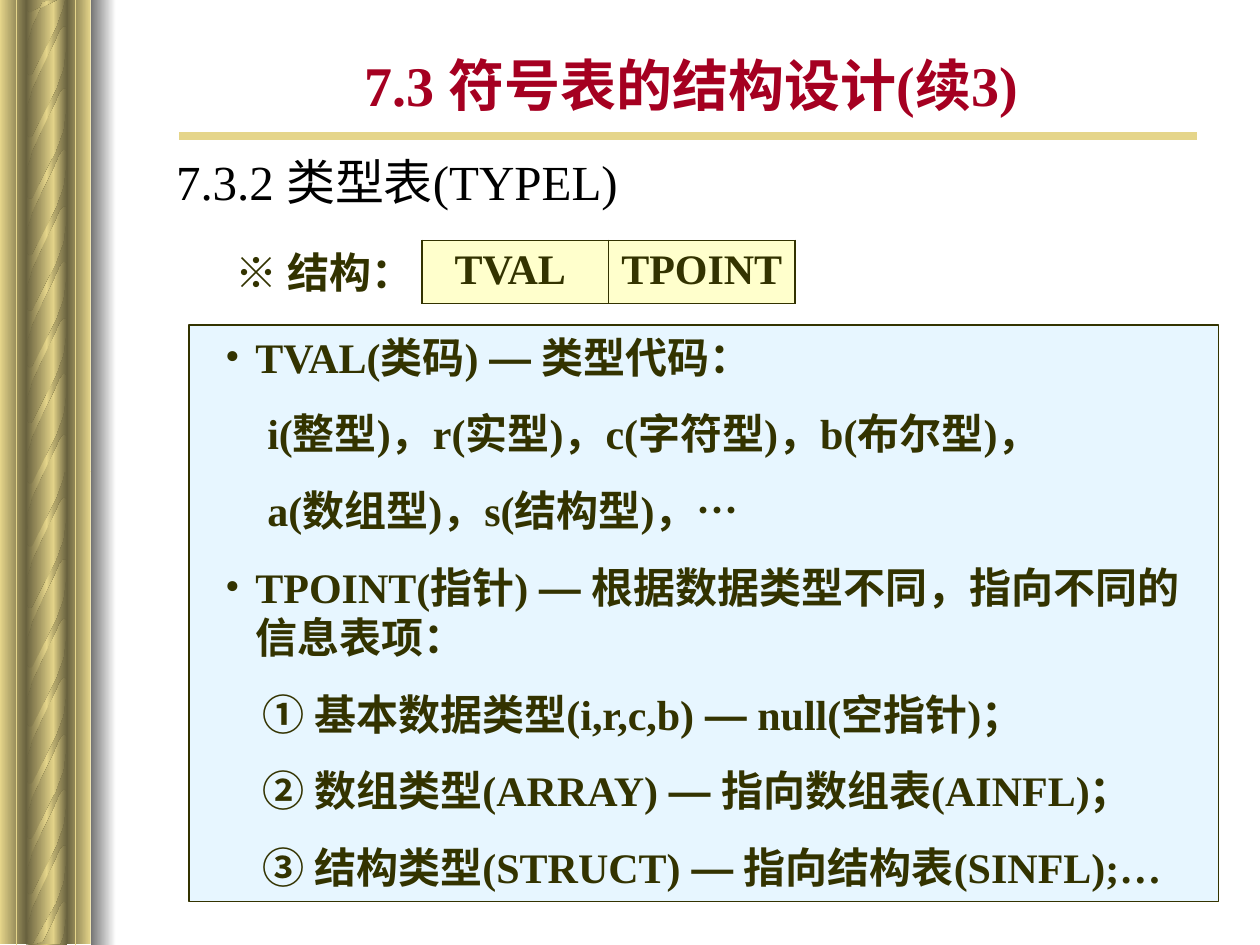
from dataclasses import dataclass

from lxml import etree
from pptx import Presentation
from pptx.dml.color import RGBColor
from pptx.enum.shapes import MSO_CONNECTOR, MSO_SHAPE
from pptx.enum.text import MSO_ANCHOR, PP_ALIGN
from pptx.oxml.ns import qn
from pptx.util import Cm, Pt

RECT = MSO_SHAPE.RECTANGLE
STRAIGHT = MSO_CONNECTOR.STRAIGHT
MIDDLE, TOP = MSO_ANCHOR.MIDDLE, MSO_ANCHOR.TOP
CENTER, LEFT = PP_ALIGN.CENTER, PP_ALIGN.LEFT

HEX = {"gold": "E5D58A", "dark": "69623F", "white": "FFFFFF", "gray": "757575",
       "ink": "333300", "red": "A50021", "black": "000000",
       "sky": "E7F6FF", "cream": "FFFFCC"}
SERIF, SANS = "Times New Roman", "Arial"
WIDE, HIGH = 25.4, 19.05

TWIST = ((1.35, 0.23), (1.35, 0.84), (1.32, 0.81), (1.27, 0.81), (1.24, 0.84),
         (1.19, 0.91), (1.09, 1.14), (0.86, 1.6), (0.64, 2.08), (0.61, 2.21),
         (0.56, 2.36), (0.56, 2.57), (0.53, 2.84), (0.53, 1.6), (0.53, 1.73),
         (0.56, 1.78), (0.58, 1.8), (0.61, 1.8), (0.64, 1.8), (0.66, 1.78),
         (1.14, 0.84), (1.22, 0.61), (1.27, 0.48), (1.3, 0.36), (1.32, 0.15),
         (1.35, 0), (1.35, 0.51))


@dataclass
class Bar:
    left: float
    width: float
    tones: tuple


@dataclass
class Half:
    top: float
    twists: tuple


@dataclass
class Line:
    x1: float
    y1: float
    x2: float
    y2: float
    size: float


@dataclass
class Item:
    text: str
    left: float = 0
    hang: float = 0
    mark: str = ""


@dataclass
class Block:
    box: tuple
    items: tuple
    size: float
    color: str
    bold: bool = True
    space: float = 0
    align: int = LEFT
    anchor: int = TOP


BARS = (Bar(1.07, 0.28, ("dark", "gold")), Bar(0, 0.53, ("dark", "gold")),
        Bar(0.53, 0.56, ("gold", "dark")), Bar(1.35, 0.48, ("gold", "dark")))
SHADE = Bar(1.83, 0.51, ("white", "gray"))
HALVES = (Half(9.5, (11.66, 12.85, 14, 15.11, 16.23, 17.37, 10.46, 9.22)),
          Half(0, (2.21, 3.35, 4.47, 5.61, 6.73, 18.44, 0.97, -0.28, -1.55, 7.95)))
LINES = (Line(0.33, 0, 0.33, HIGH, 1), Line(1.52, 0, 1.52, HIGH, 1),
         Line(3.61, 2.74, 24.13, 2.74, 4.5))


def point(text: str) -> Item:
    return Item(text, 0.61, -0.61, "•")


def sub(text: str) -> Item:
    return Item(text, 0.85)


def step(text: str) -> Item:
    return Item(text, 0.76)


BLOCKS = (
    Block((4.17, 0.84, 19.53, 1.7), (Item("7.3 符号表的结构设计(续3)"),), 32, "red",
          align=CENTER, anchor=MIDDLE),
    Block((3.3, 2.92, 17.58, 1.47), (Item("7.3.2 类型表(TYPEL)", 0.97, -0.97),), 28,
          "black", bold=False, space=7),
    Block((4.5, 4.85, 5.38, 1.27), (Item("※ 结构："),), 24, "ink", space=15),
    Block((4.29, 6.55, 20.2, 11.63), (
        point("TVAL(类码) — 类型代码："),
        sub("i(整型)，r(实型)，c(字符型)，b(布尔型)，"),
        sub("a(数组型)，s(结构型)，…"),
        point("TPOINT(指针) — 根据数据类型不同，指向不同的信息表项："),
        step("① 基本数据类型(i,r,c,b) — null(空指针)；"),
        step("② 数组类型(ARRAY) — 指向数组表(AINFL)；"),
        step("③ 结构类型(STRUCT) — 指向结构表(SINFL);…"),
    ), 24, "ink", space=15),
)
FIELDS = (Item("TVAL", 0.4), Item("TPOINT"))


def tint(name: str) -> RGBColor:
    return RGBColor.from_string(HEX[name])


def blend(shape, tones: tuple) -> None:
    shape.shadow.inherit = False
    shape.line.fill.background()
    shape.fill.gradient()
    shape.fill.gradient_angle = 180
    stops = shape.element.spPr.find(".//" + qn("a:gsLst"))
    for old in list(stops):
        stops.remove(old)
    for i, tone in enumerate(tones):
        stop = etree.SubElement(stops, qn("a:gs"), pos=str(100000 * i // (len(tones) - 1)))
        etree.SubElement(stop, qn("a:srgbClr"), val=HEX[tone])


def draw_bar(slide, bar: Bar, top: float, height: float) -> None:
    shape = slide.shapes.add_shape(RECT, Cm(bar.left), Cm(top), Cm(bar.width), Cm(height))
    blend(shape, bar.tones)


def draw_twist(slide, top: float, low: float) -> None:
    spots = [(Cm(x), Cm(min(max(top + y, low), HIGH))) for x, y in TWIST]
    maker = slide.shapes.build_freeform(*spots[0])
    maker.add_line_segments(spots[1:])
    blend(maker.convert_to_shape(), ("dark", "gold", "dark"))


def draw_line(slide, line: Line) -> None:
    wire = slide.shapes.add_connector(STRAIGHT, Cm(line.x1), Cm(line.y1), Cm(line.x2), Cm(line.y2))
    wire.line.color.rgb = tint("gold")
    wire.line.width = Pt(line.size)
    etree.SubElement(wire.element.spPr, qn("a:effectLst"))


def write(par, item: Item, size: float, color: str, bold: bool, space: float) -> None:
    par.space_before = Pt(space)
    props = par._p.get_or_add_pPr()
    props.set("marL", str(Cm(item.left)))
    props.set("indent", str(Cm(item.hang)))
    if item.mark:
        shade = etree.SubElement(props, qn("a:buClr"))
        etree.SubElement(shade, qn("a:srgbClr"), val=HEX[color])
        etree.SubElement(props, qn("a:buFont"), typeface=SERIF)
        etree.SubElement(props, qn("a:buChar"), char=item.mark)
    for piece in filter(None, item.text.partition("—")):
        run = par.add_run()
        run.text = piece
        run.font.name = SANS if piece == "—" else SERIF
        run.font.size = Pt(size)
        run.font.bold = bold
        run.font.color.rgb = tint(color)


def draw_block(slide, block: Block) -> None:
    frame = slide.shapes.add_textbox(*map(Cm, block.box)).text_frame
    frame.word_wrap = True
    frame.vertical_anchor = block.anchor
    for i, item in enumerate(block.items):
        par = frame.add_paragraph() if i else frame.paragraphs[0]
        par.alignment = block.align
        write(par, item, block.size, block.color, block.bold, block.space)


def draw_panel(slide) -> None:
    panel = slide.shapes.add_shape(RECT, Cm(3.81), Cm(6.55), Cm(20.75), Cm(11.63))
    panel.shadow.inherit = False
    panel.fill.solid()
    panel.fill.fore_color.rgb = tint("sky")
    panel.line.color.rgb = tint("ink")
    panel.line.width = Pt(0.75)


def draw_table(slide) -> None:
    table = slide.shapes.add_table(1, 2, Cm(8.51), Cm(4.85), Cm(7.52), Cm(1.27)).table
    table.first_row = table.horz_banding = False
    for i, item in enumerate(FIELDS):
        cell = table.cell(0, i)
        props = cell._tc.get_or_add_tcPr()
        inner = "L" if i else "R"
        for side in "LRTB":
            width = Pt(0.45 if side == inner else 1.08)
            edge = etree.SubElement(props, qn("a:ln" + side), w=str(width))
            fill = etree.SubElement(edge, qn("a:solidFill"))
            etree.SubElement(fill, qn("a:srgbClr"), val=HEX["ink"])
        cell.fill.solid()
        cell.fill.fore_color.rgb = tint("cream")
        write(cell.text_frame.paragraphs[0], item, 24, "ink", True, 6)


def main() -> None:
    deck = Presentation()
    deck.slide_width, deck.slide_height = Cm(WIDE), Cm(HIGH)
    slide = deck.slides.add_slide(deck.slide_layouts[6])
    for half in HALVES:
        for bar in BARS:
            draw_bar(slide, bar, half.top, HIGH / 2)
        for top in half.twists:
            draw_twist(slide, top, half.top)
    draw_bar(slide, SHADE, 0, HIGH)
    for line in LINES:
        draw_line(slide, line)
    draw_panel(slide)
    for block in BLOCKS:
        draw_block(slide, block)
    draw_table(slide)
    deck.save("out.pptx")


if __name__ == "__main__":
    main()
